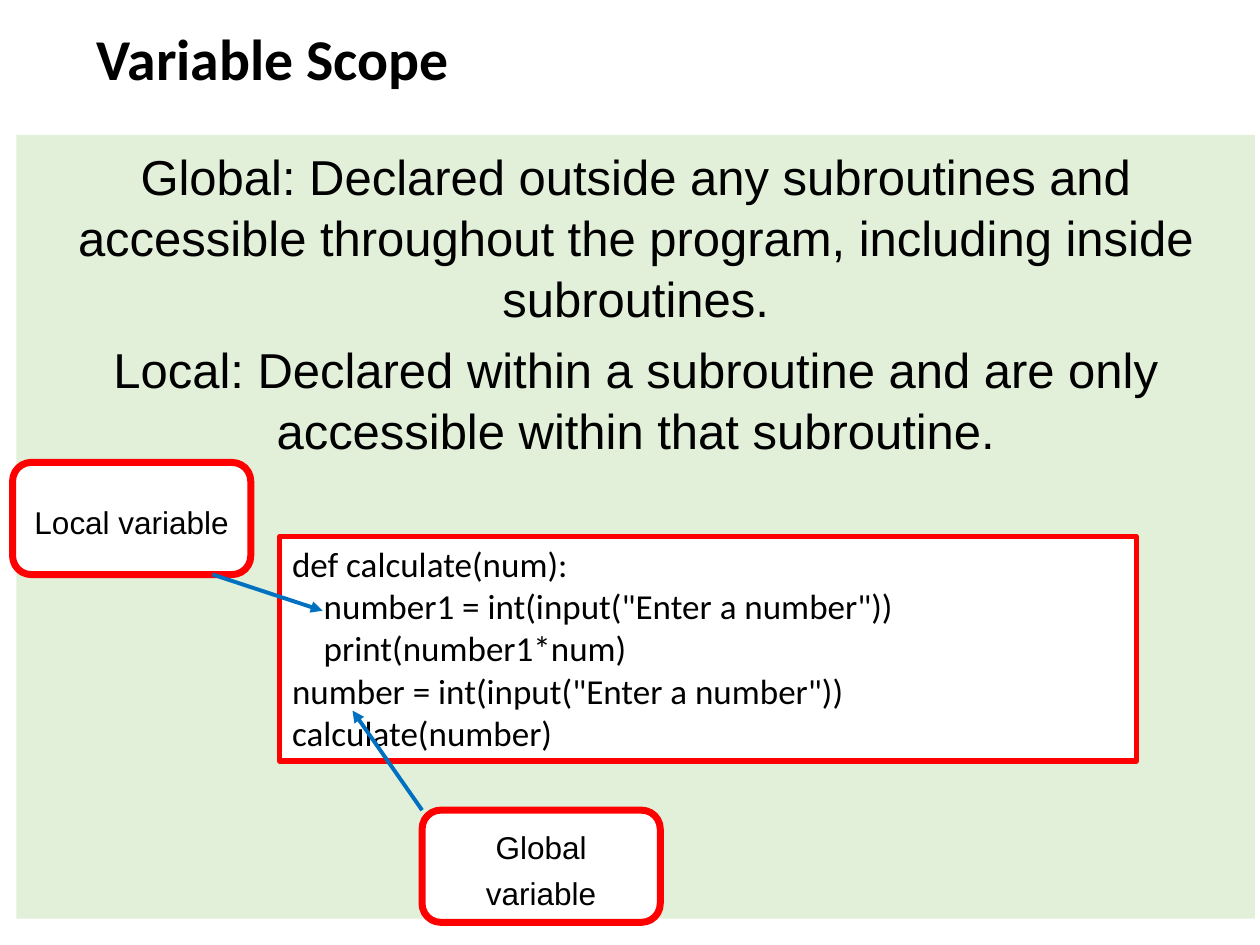
from collections import namedtuple

from lxml import etree
from pptx import Presentation, util as u
from pptx.dml.color import RGBColor
from pptx.enum import shapes, text
from pptx.oxml import ns

BLACK = RGBColor(0x00, 0x00, 0x00)
WHITE = RGBColor(0xFF, 0xFF, 0xFF)
GREEN = RGBColor(0xE2, 0xF0, 0xD9)
RED = RGBColor(0xFF, 0x00, 0x00)
BLUE = RGBColor(0x00, 0x70, 0xC0)

COLS, ROWS = 100, 75
CELL = u.Inches(0.1)

Box = namedtuple("Box", "col row cols rows")

TITLE = Box(6.7, 1.9, 86.2, 7.5)
PANEL = Box(1.3, 10.7, 98.3, 62.2)
CODE = Box(22.2, 42.6, 68, 17.8)
GLOBAL = Box(33.5, 64.3, 18.9, 8.9)
LOCAL = Box(1, 36.7, 18.9, 8.9)

DEFINITIONS = [
    "Global: Declared outside any subroutines and accessible throughout "
    "the program, including inside subroutines.",
    "Local: Declared within a subroutine and are only accessible within "
    "that subroutine.",
]
PROGRAM = [
    "def calculate(num):",
    '    number1 = int(input("Enter a number"))',
    "    print(number1*num)",
    'number = int(input("Enter a number"))',
    "calculate(number)",
]


def emu(box):
    return [u.Emu(round(n * CELL)) for n in box]


def point(box, across, down):
    return emu((box.col + box.cols * across / 100,
                box.row + box.rows * down / 100))


def write(sp, lines, font, size, align=text.PP_ALIGN.LEFT,
          anchor=text.MSO_ANCHOR.TOP, spacing=1.0, before=0, bold=False):
    tf = sp.text_frame
    tf.word_wrap = True
    tf.vertical_anchor = anchor
    tf.text = "\n".join(lines)
    for i, p in enumerate(tf.paragraphs):
        p.alignment = align
        p.line_spacing = spacing
        p.space_before = u.Pt(before if i else 0)
        for r in p.runs:
            r.font.name = font
            r.font.size = u.Pt(size)
            r.font.bold = bold
            r.font.color.rgb = BLACK


def add_block(s, kind, box, fill, outline=None, weight=0):
    sp = s.shapes.add_shape(kind, *emu(box))
    sp.shadow.inherit = False
    sp.fill.solid()
    sp.fill.fore_color.rgb = fill
    if outline is None:
        sp.line.fill.background()
    else:
        sp.line.color.rgb = outline
        sp.line.width = u.Pt(weight)
    return sp


def add_title(s, box):
    sp = s.shapes.add_textbox(*emu(box))
    write(sp, ["Variable Scope"], "Calibri", 33, spacing=0.9, bold=True)


def add_definitions(s, box):
    sp = add_block(s, shapes.MSO_SHAPE.RECTANGLE, box, GREEN)
    write(sp, DEFINITIONS, "Arial", 28, text.PP_ALIGN.CENTER,
          spacing=1.04, before=5.6)
    sp.text_frame.margin_top = u.Inches(0.07)


def add_code(s, box):
    sp = add_block(s, shapes.MSO_SHAPE.RECTANGLE, box, WHITE, RED, 3)
    write(sp, PROGRAM, "Calibri", 20)


def add_label(s, box, label):
    sp = add_block(s, shapes.MSO_SHAPE.ROUNDED_RECTANGLE, box, WHITE, RED, 4)
    write(sp, [label], "Arial", 18, text.PP_ALIGN.CENTER,
          text.MSO_ANCHOR.MIDDLE, spacing=1.2)


def add_arrow(s, start, end):
    arrow = s.shapes.add_connector(shapes.MSO_CONNECTOR.STRAIGHT, *start, *end)
    arrow.line.color.rgb = BLUE
    arrow.line.width = u.Pt(2.25)
    etree.SubElement(arrow.line._get_or_add_ln(), ns.qn("a:tailEnd"),
                     type="triangle")
    etree.SubElement(arrow._element.spPr, ns.qn("a:effectLst"))


def main():
    prs = Presentation()
    prs.slide_width, prs.slide_height = COLS * CELL, ROWS * CELL
    s = prs.slides.add_slide(prs.slide_layouts[6])
    add_title(s, TITLE)
    add_definitions(s, PANEL)
    add_code(s, CODE)
    add_label(s, GLOBAL, "Global variable")
    add_label(s, LOCAL, "Local variable")
    add_arrow(s, point(LOCAL, 84, 100), point(CODE, 5, 33))
    add_arrow(s, point(GLOBAL, 0, 0), point(CODE, 8.5, 77.5))
    prs.save("out.pptx")


if __name__ == "__main__":
    main()
